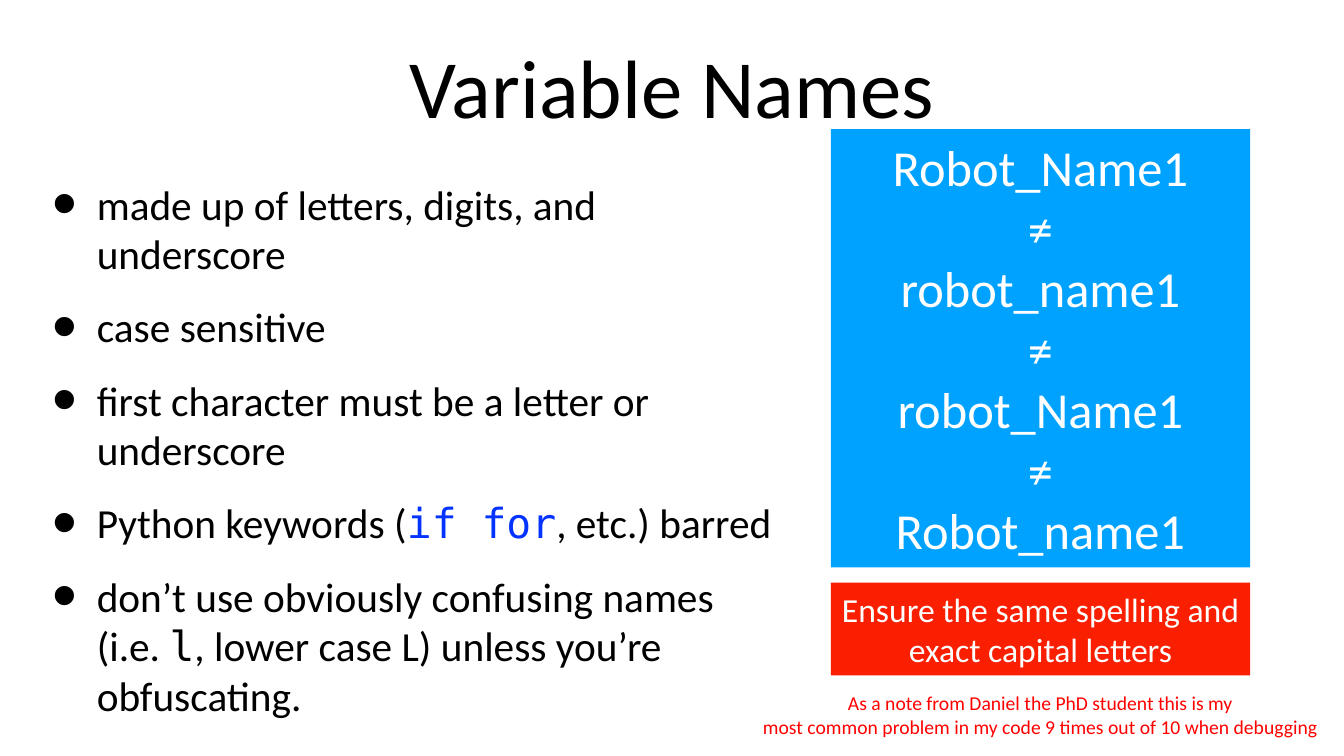
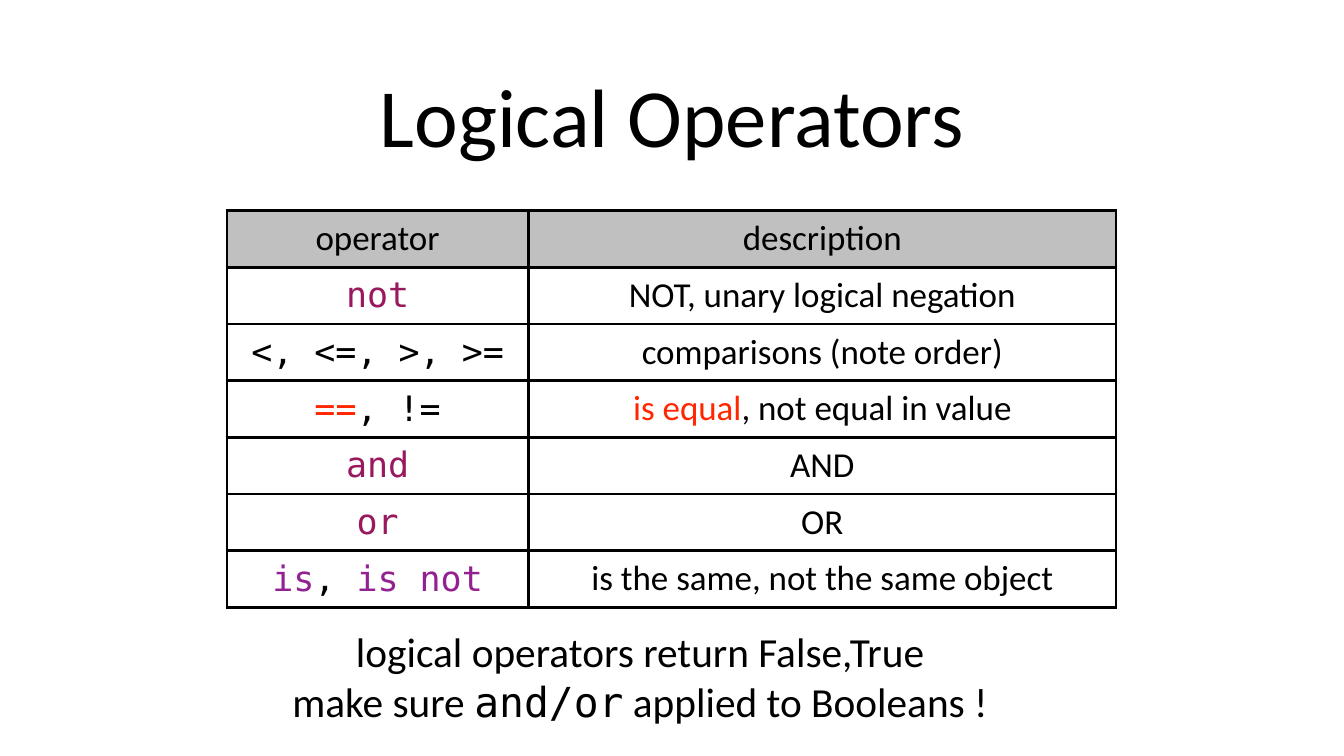
from lxml.etree import SubElement
from pptx import Presentation
from pptx.dml.color import RGBColor
from pptx.enum.shapes import MSO_SHAPE
from pptx.enum.text import MSO_ANCHOR, MSO_AUTO_SIZE, PP_ALIGN
from pptx.oxml.ns import qn
from pptx.util import Inches, Pt

# Shared style
BLACK = RGBColor(0, 0, 0)
WHITE = RGBColor(255, 255, 255)
BLUE = RGBColor(0x00, 0xA2, 0xFF)
RED = RGBColor(0xFA, 0x1F, 0x00)
NOTE_RED = RGBColor(0xFF, 0x00, 0x00)
CODE_BLUE = RGBColor(0x04, 0x33, 0xFF)
PLUM = RGBColor(0x99, 0x19, 0x5E)
PURPLE = RGBColor(0x94, 0x21, 0x92)
ACCENT = RGBColor(0xFF, 0x26, 0x00)
GREY = RGBColor(0xC0, 0xC0, 0xC0)
SANS, MONO = "Calibri", "DejaVu Sans Mono"
TITLE_SIZE, BODY_SIZE, TABLE_SIZE = 59.1, 29.5, 25

# Content: a paragraph is a list of runs, (text, font, colour);
# a colour of None takes the colour of its box
NAME_RULES = [
    [("made up of letters, digits, and underscore", SANS, None)],
    [("case sensitive", SANS, None)],
    [("first character must be a letter or underscore", SANS, None)],
    [("Python keywords (", SANS, None), ("if for", MONO, CODE_BLUE),
     (", etc.) barred", SANS, None)],
    [("don’t use obviously confusing names (i.e. ", SANS, None), ("l", MONO, None),
     (", lower case L) unless you’re obfuscating.", SANS, None)],
]
DISTINCT_NAMES = ["Robot_Name1", "robot_name1", "robot_Name1", "Robot_name1"]
SPELLING_ADVICE = "Ensure the same spelling and exact capital letters"
STUDENT_NOTE = [
    "As a note from Daniel the PhD student this is my",
    "most common problem in my code 9 times out of 10 when debugging",
]
OPERATORS = [
    ([("operator", SANS, None)], [("description", SANS, None)]),
    ([("not", MONO, PLUM)], [("NOT, unary logical negation", SANS, None)]),
    ([("<, <=, >, >=", MONO, None)], [("comparisons (note order)", SANS, None)]),
    ([("==", MONO, ACCENT), (", !=", MONO, None)],
     [("is equal", SANS, ACCENT), (", not equal in value", SANS, None)]),
    ([("and", MONO, PLUM)], [("AND", SANS, None)]),
    ([("or", MONO, PLUM)], [("OR", SANS, None)]),
    ([("is", MONO, PURPLE), (", ", MONO, None), ("is not", MONO, PURPLE)],
     [("is the same, not the same object", SANS, None)]),
]
BOOLEAN_NOTE = [
    [("logical operators return False,True", SANS, None)],
    [("make sure ", SANS, None), ("and/or", MONO, None),
     (" applied to Booleans !", SANS, None)],
]


def plain(lines):
    return [[(line, SANS, None)] for line in lines]


def write(frame, paragraphs, size, color=BLACK, align=PP_ALIGN.CENTER):
    for i, runs in enumerate(paragraphs):
        paragraph = frame.paragraphs[0] if i == 0 else frame.add_paragraph()
        paragraph.alignment = align
        paragraph.space_before = Pt(0)
        for text, font, run_color in runs:
            run = paragraph.add_run()
            run.text = text
            run.font.name = font
            run.font.size = Pt(size)
            run.font.color.rgb = run_color or color


def fit(box, area, margin=0.06, wrap=True):
    """Place a box and give its text the shared frame settings."""
    box.left, box.top, box.width, box.height = map(Inches, area)
    frame = box.text_frame
    frame.word_wrap = wrap
    frame.auto_size = MSO_AUTO_SIZE.NONE
    frame.vertical_anchor = MSO_ANCHOR.MIDDLE
    frame.margin_left = frame.margin_right = Inches(margin)
    frame.margin_top = frame.margin_bottom = Inches(margin)
    return frame


def add_titled_slide(prs, layout, title, top):
    slide = prs.slides.add_slide(prs.slide_layouts[layout])
    frame = fit(slide.shapes.title, (1.3, top, 10.73, 1.88))
    write(frame, plain([title]), TITLE_SIZE)
    return slide


def add_panel(slide, area, fill, lines, size):
    panel = slide.shapes.add_shape(MSO_SHAPE.RECTANGLE, *map(Inches, area))
    panel.shadow.inherit = False
    panel.fill.solid()
    panel.fill.fore_color.rgb = fill
    panel.line.fill.background()
    write(fit(panel, area), plain(lines), size, WHITE)


def add_note(slide, area, paragraphs, size, color=BLACK, margin=0.06, wrap=True):
    note = slide.shapes.add_textbox(*map(Inches, area))
    write(fit(note, area, margin, wrap), paragraphs, size, color)


def add_bullets(frame):
    for i, paragraph in enumerate(frame.paragraphs):
        properties = paragraph._p.get_or_add_pPr()
        properties.set("marL", str(Inches(0.68)))
        properties.set("indent", str(Inches(-0.44)))
        SubElement(properties, qn("a:buSzPct"), val="171000")
        SubElement(properties, qn("a:buChar"), char="•")
        paragraph.space_before = Pt(16.9 if i else 0)


def add_borders(cell, width=2):
    properties = cell._tc.get_or_add_tcPr()
    for side in ("lnL", "lnR", "lnT", "lnB"):
        line = SubElement(properties, qn(f"a:{side}"), w=str(Pt(width)))
        fill = SubElement(line, qn("a:solidFill"))
        SubElement(fill, qn("a:srgbClr"), val=str(BLACK))


def add_operator_table(slide):
    widths, row_height = (2.99, 5.83), 0.5625
    table = slide.shapes.add_table(
        len(OPERATORS), len(widths), Inches(2.25), Inches(2.09),
        Inches(sum(widths)), Inches(row_height * len(OPERATORS))).table
    table.first_row = table.horz_banding = False
    for column, width in zip(table.columns, widths):
        column.width = Inches(width)
    for r, row in enumerate(OPERATORS):
        table.rows[r].height = Inches(row_height)
        for c, runs in enumerate(row):
            cell = table.cell(r, c)
            add_borders(cell)
            if r == 0:
                cell.fill.solid()
                cell.fill.fore_color.rgb = GREY
            else:
                cell.fill.background()
            cell.vertical_anchor = MSO_ANCHOR.MIDDLE
            cell.margin_left = cell.margin_right = Inches(0.04)
            cell.margin_top = cell.margin_bottom = Inches(0.04)
            write(cell.text_frame, [runs], TABLE_SIZE)


def build_variable_names(prs):
    slide = add_titled_slide(prs, 1, "Variable Names", -0.09)
    rules = fit(slide.placeholders[1], (0.22, 2.26, 7.52, 4.39))
    write(rules, NAME_RULES, BODY_SIZE, align=PP_ALIGN.LEFT)
    add_bullets(rules)
    # Names with an unequal sign between each pair
    name_lines = "\n≠\n".join(DISTINCT_NAMES).split("\n")
    add_panel(slide, (8.24, 1.28, 4.16, 4.35), BLUE, name_lines, 36)
    add_panel(slide, (8.24, 5.78, 4.16, 0.92), RED, [SPELLING_ADVICE], 24)
    add_note(slide, (7.46, 6.8, 5.72, 0.58), plain(STUDENT_NOTE), 14, NOTE_RED, wrap=False)


def build_logical_operators(prs):
    slide = add_titled_slide(prs, 5, "Logical Operators", 0.2)
    add_operator_table(slide)
    add_note(slide, (1.67, 6.17, 9.36, 1.07), BOOLEAN_NOTE, BODY_SIZE, margin=0.04)


def main():
    prs = Presentation()
    prs.slide_width, prs.slide_height = Inches(13.33), Inches(7.5)
    build_variable_names(prs)
    build_logical_operators(prs)
    prs.save("out.pptx")


if __name__ == "__main__":
    main()
